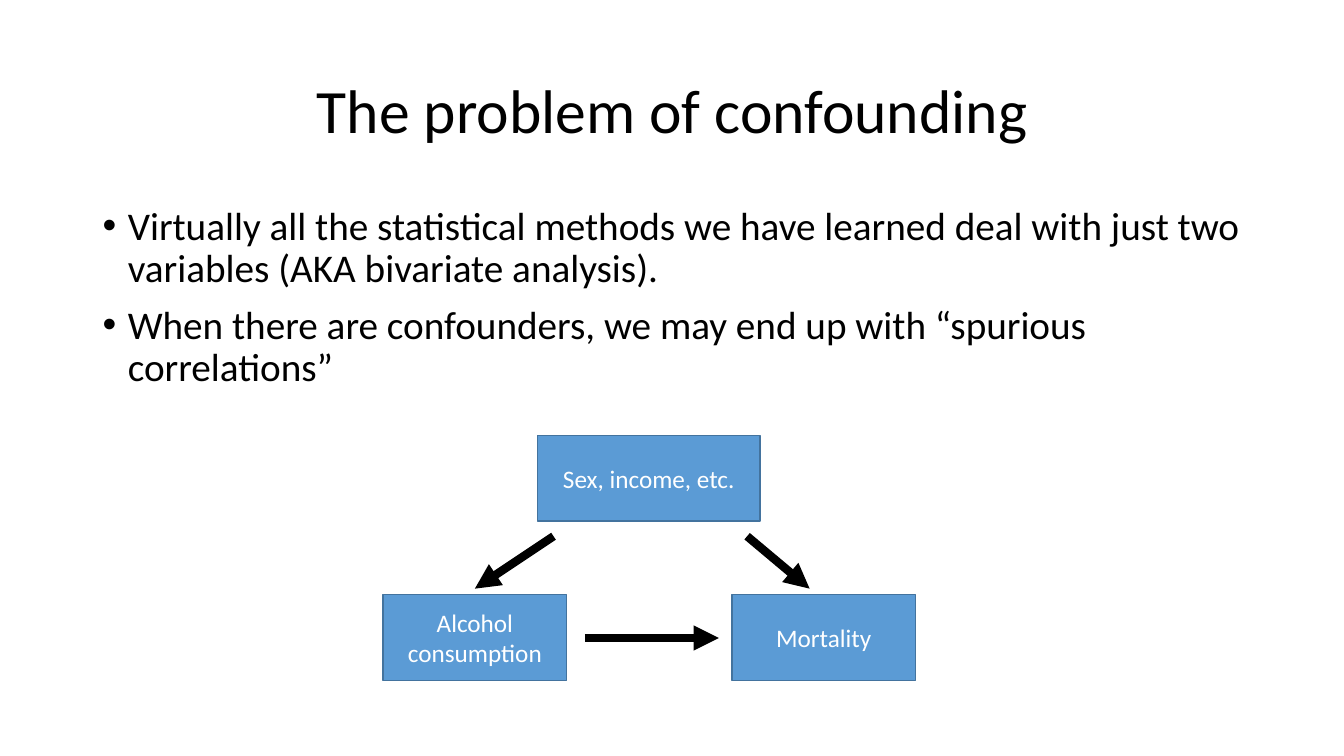
from lxml import etree
from pptx import Presentation
from pptx.dml.color import RGBColor
from pptx.enum.shapes import MSO_CONNECTOR, MSO_SHAPE
from pptx.enum.text import MSO_ANCHOR as ANCHOR, PP_ALIGN as ALIGN
from pptx.oxml.ns import qn
from pptx.util import Inches, Pt

BLACK = RGBColor(0x00, 0x00, 0x00)
WHITE = RGBColor(0xFF, 0xFF, 0xFF)
BLUE = RGBColor(0x5B, 0x9B, 0xD5)
DARK_BLUE = RGBColor(0x43, 0x73, 0x9E)

prs = Presentation()
prs.slide_width, prs.slide_height = Inches(13.33), Inches(7.5)
s = prs.slides.add_slide(prs.slide_layouts[6])


def write(sp, *lines, size=18, color=BLACK, align=ALIGN.CENTER,
          anchor=ANCHOR.MIDDLE, spacing=None, before=None, bullet=None):
    """Fill a shape with one paragraph per line."""
    tf = sp.text_frame
    tf.word_wrap = True
    tf.vertical_anchor = anchor
    for i, line in enumerate(lines):
        p = tf.add_paragraph() if i else tf.paragraphs[0]
        p.alignment, p.line_spacing, p.space_before = align, spacing, before
        r = p.add_run()
        r.text = line
        r.font.name, r.font.size = "Calibri", Pt(size)
        r.font.color.rgb = color
        if bullet:
            pPr = p._p.get_or_add_pPr()
            pPr.set("marL", str(Inches(0.25)))
            pPr.set("indent", str(Inches(-0.25)))
            etree.SubElement(pPr, qn("a:buFont"), typeface="Arial")
            etree.SubElement(pPr, qn("a:buChar"), char=bullet)


title = s.shapes.add_textbox(Inches(0.92), Inches(0.4), Inches(11.5), Inches(1.45))
write(title, "The problem of confounding", size=44, spacing=0.9)

body = s.shapes.add_textbox(Inches(0.92), Inches(2), Inches(11.5), Inches(4.76))
write(body,
      "Virtually all the statistical methods we have learned deal with "
      "just two variables (AKA bivariate analysis).",
      "When there are confounders, we may end up with “spurious correlations”",
      size=28, align=ALIGN.LEFT, anchor=ANCHOR.TOP, spacing=0.9,
      before=Pt(10), bullet="•")

# Boxes: text, left, top, width
for text, x, y, w in [
    ("Sex, income, etc.", 5.33, 4.32, 2.21),
    ("Alcohol consumption", 3.8, 5.9, 1.82),
    ("Mortality", 7.26, 5.9, 1.82),
]:
    box = s.shapes.add_shape(MSO_SHAPE.RECTANGLE, Inches(x), Inches(y),
                             Inches(w), Inches(0.85))
    box.shadow.inherit = False
    box.fill.solid()
    box.fill.fore_color.rgb = BLUE
    box.line.color.rgb = DARK_BLUE
    box.line.width = Pt(1)
    write(box, text, color=WHITE)

# Arrows: start x, start y, end x, end y
for ends in [
    (5.8, 6.33, 7.13, 6.33),
    (5.49, 5.32, 4.71, 5.84),
    (7.41, 5.32, 8.03, 5.84),
]:
    arrow = s.shapes.add_connector(MSO_CONNECTOR.STRAIGHT, *map(Inches, ends))
    arrow.line.color.rgb = BLACK
    arrow.line.width = Pt(6)
    etree.SubElement(arrow.line._get_or_add_ln(), qn("a:tailEnd"), type="triangle")
    etree.SubElement(arrow._element.spPr, qn("a:effectLst"))

prs.save("out.pptx")
